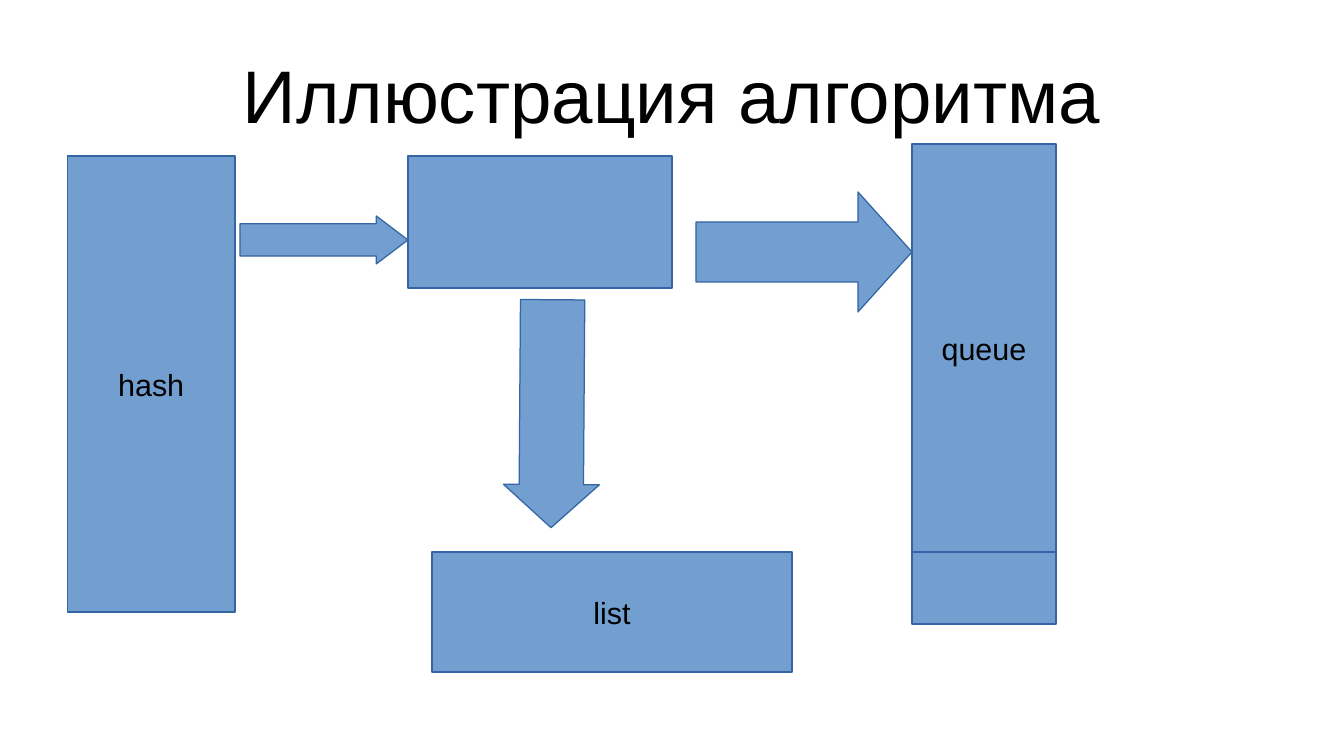
from pptx import Presentation
from pptx.dml.color import RGBColor
from pptx.enum.shapes import MSO_SHAPE
from pptx.enum.text import MSO_ANCHOR, PP_ALIGN
from pptx.util import Cm, Pt

TITLE = "Иллюстрация алгоритма"
FILL, LINE, INK = "729FCF", "3465A4", "000000"

# label, (left, top, width, height) in cm, back to front
BOXES = [
    ("hash", (1.4, 3.25, 3.5, 9.5)),
    ("", (8.5, 3.25, 5.5, 2.75)),
    ("list", (9, 11.5, 7.5, 2.5)),
    ("", (19, 4.5, 3, 8.5)),
    ("queue", (19, 3, 3, 8.5)),
]
# (left, top, width, height) in cm, rotation, (shaft, head) proportions
ARROWS = [
    ((5, 4.5, 3.5, 1), 0, (0.67, 0.66)),
    ((9.12, 7.62, 4.75, 2), 90.4, (0.67, 0.45)),
    ((14.5, 4, 4.5, 2.5), 0, (0.5, 0.45)),
]


def color(value):
    return RGBColor.from_string(value)


def write(frame, text, size):
    """Put one centred line of text into a frame."""
    frame.word_wrap = True
    frame.vertical_anchor = MSO_ANCHOR.MIDDLE
    para = frame.paragraphs[0]
    para.alignment = PP_ALIGN.CENTER
    span = para.add_run()
    span.text = text
    span.font.name = "Arial"
    span.font.size = Pt(size)
    span.font.color.rgb = color(INK)


def add_figure(page, kind, area):
    figure = page.shapes.add_shape(kind, *map(Cm, area))
    figure.shadow.inherit = False
    figure.fill.solid()
    figure.fill.fore_color.rgb = color(FILL)
    figure.line.color.rgb = color(LINE)
    figure.line.width = Pt(0)
    return figure


def main():
    deck = Presentation()
    deck.slide_width, deck.slide_height = Cm(28), Cm(15.75)
    page = deck.slides.add_slide(deck.slide_layouts[5])

    title = page.shapes.title
    title.left, title.top, title.width, title.height = map(Cm, (1.4, 0.63, 25.2, 2.63))
    frame = title.text_frame
    frame.margin_left = frame.margin_top = frame.margin_right = frame.margin_bottom = 0
    write(frame, TITLE, 44)

    for label, area in BOXES:
        box = add_figure(page, MSO_SHAPE.RECTANGLE, area)
        if label:
            write(box.text_frame, label, 18)

    for area, rotation, proportions in ARROWS:
        arrow = add_figure(page, MSO_SHAPE.RIGHT_ARROW, area)
        arrow.rotation = rotation
        arrow.adjustments[0], arrow.adjustments[1] = proportions

    deck.save("out.pptx")


if __name__ == "__main__":
    main()
